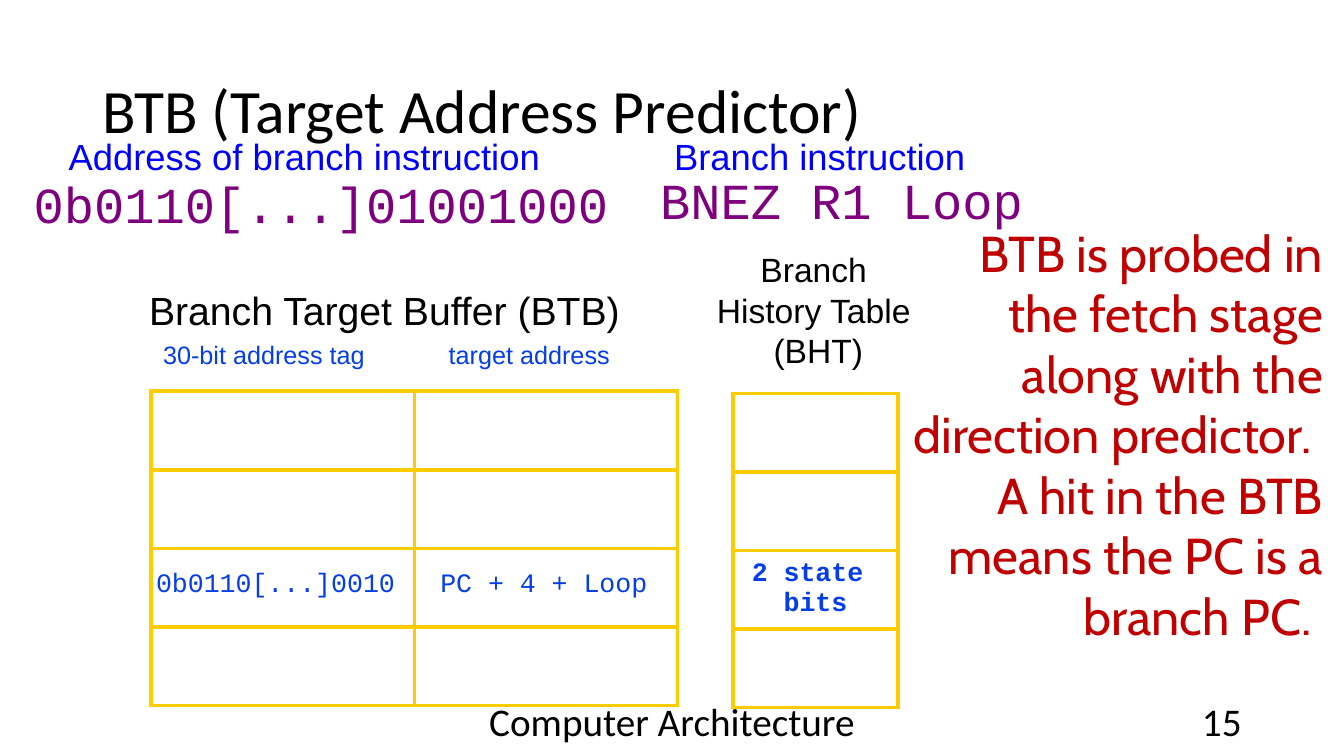
import dataclasses

import lxml.etree
import pptx
import pptx.dml.color
import pptx.enum.text
import pptx.oxml.ns
import pptx.util

Pt = pptx.util.Pt
ALIGN = pptx.enum.text.PP_ALIGN
ANCHOR = pptx.enum.text.MSO_ANCHOR

BLACK, BLUE, LINK_BLUE = "000000", "053DE8", "0000FF"
PURPLE, RED, YELLOW = "7F007F", "C00000", "FFCC00"


@dataclasses.dataclass
class Style:
    font: str
    size: float
    color: str
    align: ALIGN = ALIGN.LEFT
    bold: bool = False


@dataclasses.dataclass
class Label:
    lines: list[str]
    box: tuple[float, float, float, float]
    style: Style
    anchor: ANCHOR = ANCHOR.TOP
    inset: float = 0


@dataclasses.dataclass
class Grid:
    box: tuple[float, float, float, float]
    cols: int
    rows: int = 4


TITLE = Style("Calibri", 44, BLACK)
FOOTER = Style("Calibri", 28, BLACK, ALIGN.CENTER)
PAGE = dataclasses.replace(FOOTER, align=ALIGN.RIGHT)
CAPTION = Style("Arial", 26, LINK_BLUE)
CODE = Style("Courier New", 36, PURPLE)
BTB_NAME = Style("Arial", 28, BLACK)
BHT_NAME = Style("Arial", 24, BLACK, ALIGN.CENTER)
COLUMN = Style("Arial", 18, BLUE)
ENTRY = Style("Courier New", 19, BLUE)
STATE = dataclasses.replace(ENTRY, align=ALIGN.CENTER, bold=True)
NOTE = Style("Cabin", 36, RED, ALIGN.RIGHT)

BTB = Grid((108, 279.5, 376, 224.5), cols=2)
BHT = Grid((523.5, 281, 118, 224.5), cols=1)

LABELS = [
    Label(["Computer Architecture"], (318, 500.5, 324, 29), FOOTER, ANCHOR.MIDDLE, 7.2),
    Label(["15"], (678, 500.5, 216, 29), PAGE, ANCHOR.MIDDLE, 7.2),
    Label(["Address of branch instruction"], (49, 96, 398, 39), CAPTION),
    Label(["0b0110[...]01001000"], (24, 124, 421, 51), CODE),
    Label(["Branch instruction"], (481.5, 96, 247, 39), CAPTION),
    Label(["BNEZ R1 Loop"], (471.5, 121, 269, 51), CODE),
    Label(["Branch Target Buffer (BTB)"], (106.5, 204.5, 379, 42), BTB_NAME),
    Label(["Branch ", "History Table ", "(BHT)"], (499, 178, 171, 95), BHT_NAME),
    Label(["30-bit address tag"], (116.5, 242.5, 163, 30), COLUMN),
    Label(["target address"], (320.5, 242.5, 133, 30), COLUMN),
    Label(["0b0110[...]0010"], (111.5, 404.5, 180, 31), ENTRY),
    Label(["PC + 4 + Loop"], (314.5, 404, 157, 31), ENTRY),
    Label(
        [
            "BTB is probed in the fetch stage along with the direction predictor. ",
            "A hit in the BTB means the PC is a branch PC. ",
        ],
        (650, 158.5, 295, 380),
        NOTE,
    ),
]


def rgb(color: str) -> pptx.dml.color.RGBColor:
    return pptx.dml.color.RGBColor.from_string(color)


def write(tf: pptx.text.text.TextFrame, lines: list[str], style: Style) -> None:
    for i, line in enumerate(lines):
        p = tf.add_paragraph() if i else tf.paragraphs[0]
        p.alignment = style.align
        r = p.add_run()
        r.text = line
        r.font.name = style.font
        r.font.size = Pt(style.size)
        r.font.bold = style.bold
        r.font.color.rgb = rgb(style.color)


def add_label(s: pptx.slide.Slide, label: Label) -> None:
    sp = s.shapes.add_textbox(*map(Pt, label.box))
    tf = sp.text_frame
    tf.word_wrap = True
    tf.vertical_anchor = label.anchor
    tf.margin_left = tf.margin_right = Pt(label.inset)
    tf.margin_top = tf.margin_bottom = Pt(label.inset / 2)
    write(tf, label.lines, label.style)


def add_borders(cell: pptx.table._Cell, color: str, width: float) -> None:
    qn = pptx.oxml.ns.qn
    tc_pr = cell._tc.get_or_add_tcPr()
    for i, side in enumerate(("a:lnL", "a:lnR", "a:lnT", "a:lnB")):
        ln = lxml.etree.Element(qn(side), w=str(Pt(width)))
        fill = lxml.etree.SubElement(ln, qn("a:solidFill"))
        lxml.etree.SubElement(fill, qn("a:srgbClr"), val=color)
        tc_pr.insert(i, ln)


def add_grid(s: pptx.slide.Slide, grid: Grid) -> pptx.table.Table:
    """Add an unfilled table with yellow rules and equal cells."""
    table = s.shapes.add_table(grid.rows, grid.cols, *map(Pt, grid.box)).table
    table.first_row = table.horz_banding = False
    for cell in table.iter_cells():
        cell.fill.background()
        add_borders(cell, YELLOW, 3)
    return table


def add_title(s: pptx.slide.Slide, text: str) -> None:
    sp = s.shapes.title
    sp.left, sp.top, sp.width, sp.height = map(Pt, (66, 29, 828, 104.5))
    tf = sp.text_frame
    tf.vertical_anchor = ANCHOR.MIDDLE
    write(tf, [text], TITLE)
    tf.paragraphs[0].line_spacing = 0.9


def main() -> None:
    prs = pptx.Presentation()
    prs.slide_width, prs.slide_height = Pt(960), Pt(540)
    s = prs.slides.add_slide(prs.slide_layouts.get_by_name("Title Only"))
    add_title(s, "BTB (Target Address Predictor)")
    add_grid(s, BTB)
    state = add_grid(s, BHT).cell(2, 0)
    state.vertical_anchor = ANCHOR.MIDDLE
    state.margin_left = state.margin_right = Pt(3)
    state.margin_top = state.margin_bottom = Pt(3)
    write(state.text_frame, ["2 state ", "bits"], STATE)
    for label in LABELS:
        add_label(s, label)
    prs.save("out.pptx")


if __name__ == "__main__":
    main()
